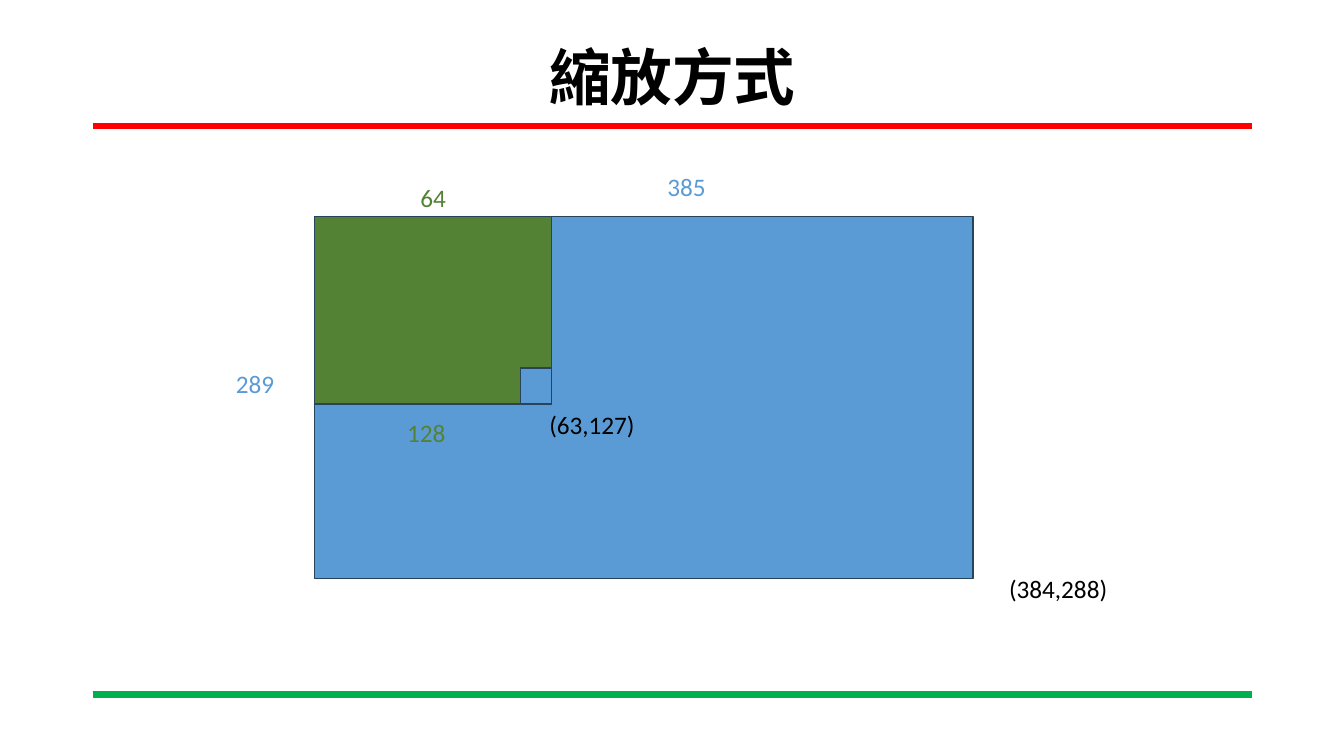
from lxml.etree import SubElement
from pptx import Presentation
from pptx.dml.color import RGBColor
from pptx.enum.shapes import MSO_CONNECTOR, MSO_SHAPE
from pptx.enum.text import MSO_ANCHOR, MSO_AUTO_SIZE, PP_ALIGN
from pptx.oxml.ns import qn
from pptx.util import Inches, Pt

BLACK = RGBColor(0, 0, 0)
RED = RGBColor(0xFF, 0, 0)
LIME = RGBColor(0, 0xB0, 0x50)
BLUE = RGBColor(0x5B, 0x9B, 0xD5)
GREEN = RGBColor(0x54, 0x82, 0x35)
EDGE = RGBColor(0x28, 0x44, 0x5D)

TITLE = "縮放方式"
LEFT, WIDTH = 0.92, 11.5
RULES = [(1.25, RED), (6.89, LIME)]
X, Y = 3.12, 2.15
FULL = (6.53, 3.59)
PART = (2.35, 1.86)
CELL = (0.31, 0.36)
RECTS = [
    (X, Y, FULL, BLUE),
    (X, Y, PART, GREEN),
    (X + PART[0] - CELL[0], Y + PART[1] - CELL[1], CELL, BLUE),
]
LABELS = [
    ("385", 6.52, 1.65, 0.59, BLUE),
    ("289", 2.24, 3.61, 0.59, BLUE),
    ("64", 4.07, 1.76, 0.46, GREEN),
    ("128", 3.94, 4.09, 0.59, GREEN),
    ("(384,288)", 9.91, 5.64, 1.19, BLACK),
    ("(63,127)", 5.35, 4.01, 1.06, BLACK),
]
HEAD = {"name": "Times New Roman", "size": Pt(44), "bold": True}
LABEL = {"name": "Calibri", "size": Pt(18)}


def style(font, form, color):
    for key, value in form.items():
        setattr(font, key, value)
    font.color.rgb = color


def add_rule(slide, y, color):
    rule = slide.shapes.add_connector(
        MSO_CONNECTOR.STRAIGHT, Inches(LEFT), Inches(y),
        Inches(LEFT + WIDTH), Inches(y))
    rule.line.color.rgb = color
    rule.line.width = Pt(4.5)
    SubElement(rule._element.spPr, qn("a:effectLst"))


def add_title(slide):
    title = slide.shapes.title
    title.left, title.top = Inches(LEFT), Inches(0.4)
    title.width, title.height = Inches(WIDTH), Inches(0.79)
    frame = title.text_frame
    frame.text = TITLE
    frame.vertical_anchor = MSO_ANCHOR.MIDDLE
    para = frame.paragraphs[0]
    para.alignment = PP_ALIGN.CENTER
    para.line_spacing = 0.9
    style(para.runs[0].font, HEAD, BLACK)


def add_rect(slide, x, y, size, color):
    rect = slide.shapes.add_shape(
        MSO_SHAPE.RECTANGLE, Inches(x), Inches(y), *map(Inches, size))
    rect.shadow.inherit = False
    rect.fill.solid()
    rect.fill.fore_color.rgb = color
    rect.line.color.rgb = EDGE
    rect.line.width = Pt(1)


def add_label(slide, text, x, y, width, color):
    box = slide.shapes.add_textbox(
        Inches(x), Inches(y), Inches(width), Inches(0.4))
    frame = box.text_frame
    frame.text = text
    frame.word_wrap = False
    frame.auto_size = MSO_AUTO_SIZE.SHAPE_TO_FIT_TEXT
    style(frame.paragraphs[0].runs[0].font, LABEL, color)


def main():
    deck = Presentation()
    deck.slide_width, deck.slide_height = Inches(13.33), Inches(7.5)
    slide = deck.slides.add_slide(deck.slide_layouts[5])
    add_title(slide)
    for rule in RULES:
        add_rule(slide, *rule)
    for rect in RECTS:
        add_rect(slide, *rect)
    for label in LABELS:
        add_label(slide, *label)
    deck.save("out.pptx")


if __name__ == "__main__":
    main()
